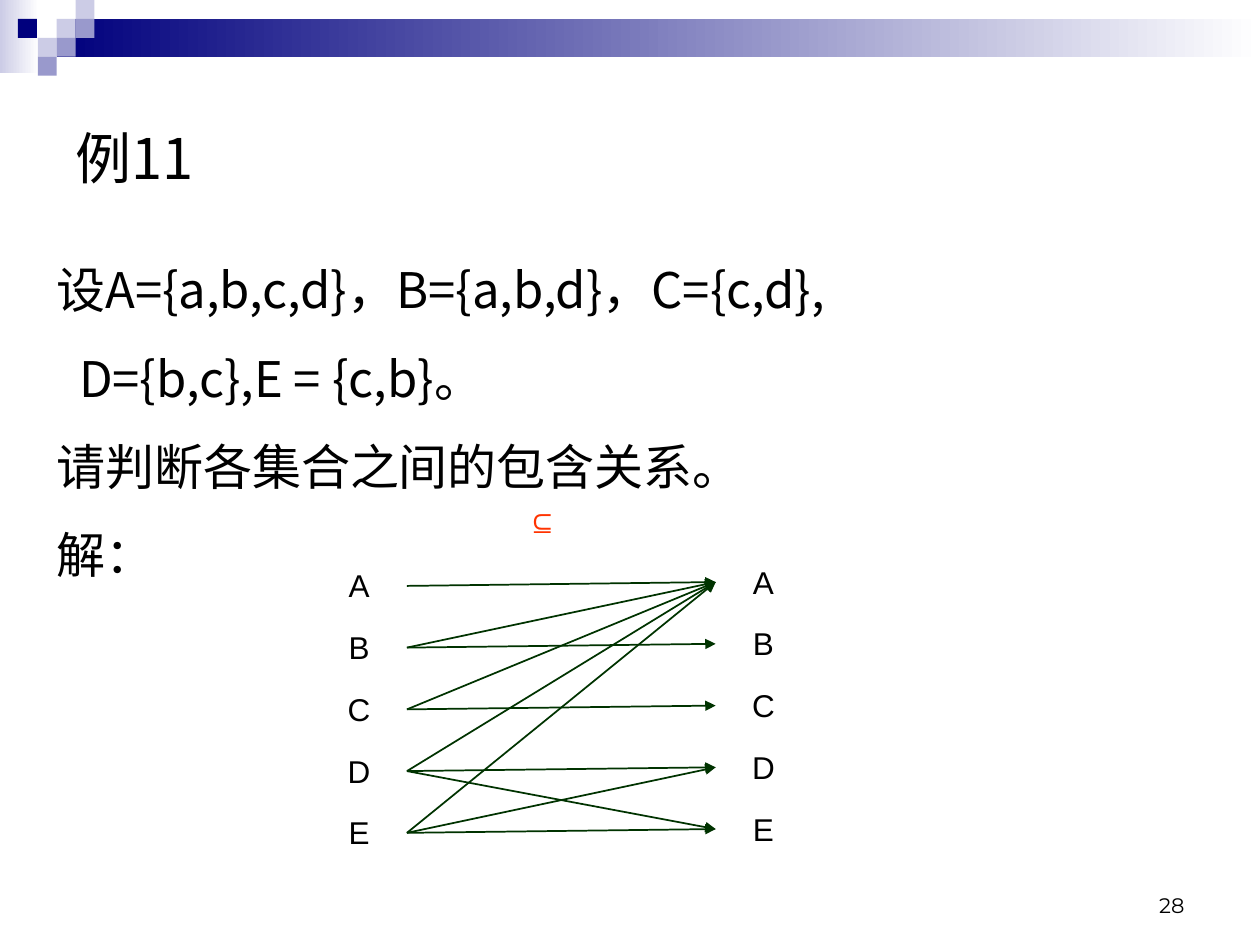
from lxml.etree import SubElement
from pptx import Presentation
from pptx.dml.color import RGBColor
from pptx.enum.shapes import MSO_CONNECTOR, MSO_SHAPE
from pptx.enum.text import MSO_ANCHOR as ANCHOR, PP_ALIGN as ALIGN
from pptx.oxml.ns import qn
from pptx.util import Inches, Pt

NAVY = RGBColor(0x00, 0x00, 0x7D)
MID_BLUE = RGBColor(0x99, 0x99, 0xCC)
PALE_BLUE = RGBColor(0xCC, 0xCC, 0xE6)
WHITE = RGBColor(0xFF, 0xFF, 0xFF)
BLACK = RGBColor(0x00, 0x00, 0x00)
RED = RGBColor(0xFF, 0x33, 0x00)
GREEN = RGBColor(0x00, 0x33, 0x00)

CJK_FONT = "Noto Sans CJK SC"
LATIN_FONT = "Arial"
NUMBER_FONT = "Montserrat"

TITLE = "例11"
# (text, left indent in inches)
PROBLEM = [
    ("设A={a,b,c,d}，B={a,b,d}，C={c,d},", 0),
    ("D={b,c},E = {c,b}。", 0.18),
    ("请判断各集合之间的包含关系。", 0),
    ("解：", 0),
]
RELATION = "⊆"
SETS = "ABCDE"
SUPERSETS = {"A": "A", "B": "AB", "C": "AC", "D": "ADE", "E": "AED"}
PAGE_NUMBER = "28"

# (left, top, width, height, start colour)
GRADIENT_BARS = [
    (0, 0, 0.31, 0.58, PALE_BLUE),
    (0.45, 0.15, 9.55, 0.3, NAVY),
]
TILE = 0.15
# (column, row, colour)
TILES = [
    (3, 1, PALE_BLUE), (4, 0, PALE_BLUE), (4, 1, MID_BLUE), (2, 2, PALE_BLUE),
    (0.95, 1, NAVY), (3, 2, MID_BLUE), (2, 3, MID_BLUE),
]

ROW_STEP = 0.49
LABEL_SIZE = (0.76, 0.49)
LEFT_LABELS = (2.47, 4.4)
RIGHT_LABELS = (5.68, 4.37)
ARROW_START = (3.23, 4.65)
ARROW_END = (5.68, 4.62)


def add_bar(slide, left, top, width, height):
    bar = slide.shapes.add_shape(
        MSO_SHAPE.RECTANGLE, *map(Inches, (left, top, width, height)))
    bar.shadow.inherit = False
    bar.line.fill.background()
    return bar


def add_header(slide):
    for *box, start in GRADIENT_BARS:
        fill = add_bar(slide, *box).fill
        fill.gradient()
        fill.gradient_angle = 0
        for stop, (color, position) in zip(fill.gradient_stops, [(start, 0), (WHITE, 1)]):
            stop.color.rgb = color
            stop.position = position
    for column, row, color in TILES:
        fill = add_bar(slide, column * TILE, row * TILE, TILE, TILE).fill
        fill.solid()
        fill.fore_color.rgb = color


def add_text(slide, box, lines, size, font, color=BLACK, align=ALIGN.LEFT,
             anchor=ANCHOR.MIDDLE, wrap=True, spacing=None):
    """Add a text box with one paragraph for each (text, indent) line."""
    frame = slide.shapes.add_textbox(*map(Inches, box)).text_frame
    frame.word_wrap = wrap
    frame.vertical_anchor = anchor
    for number, (text, indent) in enumerate(lines):
        paragraph = frame.add_paragraph() if number else frame.paragraphs[0]
        paragraph.text = text
        paragraph.alignment = align
        if spacing:
            paragraph.line_spacing = spacing
        paragraph.font.size = Pt(size)
        paragraph.font.name = font
        paragraph.font.color.rgb = color
        properties = paragraph._p.pPr
        if indent:
            properties.set("marL", str(Inches(indent)))
        east_asian = SubElement(properties.find(qn("a:defRPr")), qn("a:ea"))
        east_asian.set("typeface", font)


def add_label(slide, box, text, color=BLACK):
    add_text(slide, box, [(text, 0)], 18, LATIN_FONT, color, ALIGN.CENTER, wrap=False)


def row_point(origin, name):
    left, top = origin
    return left, top + SETS.index(name) * ROW_STEP


def add_arrow(slide, start, end):
    arrow = slide.shapes.add_connector(
        MSO_CONNECTOR.STRAIGHT, *map(Inches, (*start, *end)))
    arrow.line.color.rgb = GREEN
    arrow.line.width = Pt(1)
    SubElement(arrow.line._get_or_add_ln(), qn("a:tailEnd")).set("type", "triangle")
    SubElement(arrow._element.spPr, qn("a:effectLst"))


def add_diagram(slide):
    add_label(slide, (3.79, 3.91, 1.03, 0.45), RELATION, RED)
    for name in SETS:
        for origin in (LEFT_LABELS, RIGHT_LABELS):
            add_label(slide, (*row_point(origin, name), *LABEL_SIZE), name)
        for superset in SUPERSETS[name]:
            add_arrow(slide, row_point(ARROW_START, name), row_point(ARROW_END, superset))


def main():
    deck = Presentation()
    deck.slide_width, deck.slide_height = Inches(10), Inches(7.5)
    slide = deck.slides.add_slide(deck.slide_layouts[6])
    add_header(slide)
    add_text(slide, (0.5, 0.5, 9, 1.5), [(TITLE, 0)], 32, CJK_FONT)
    add_text(slide, (0.35, 1.78, 9, 2.69), PROBLEM, 28, CJK_FONT,
             anchor=ANCHOR.TOP, spacing=1.5)
    add_diagram(slide)
    add_text(slide, (7.17, 6.83, 2.33, 0.5), [(PAGE_NUMBER, 0)], 12, NUMBER_FONT,
             align=ALIGN.RIGHT, anchor=ANCHOR.BOTTOM)
    deck.save("out.pptx")


if __name__ == "__main__":
    main()
